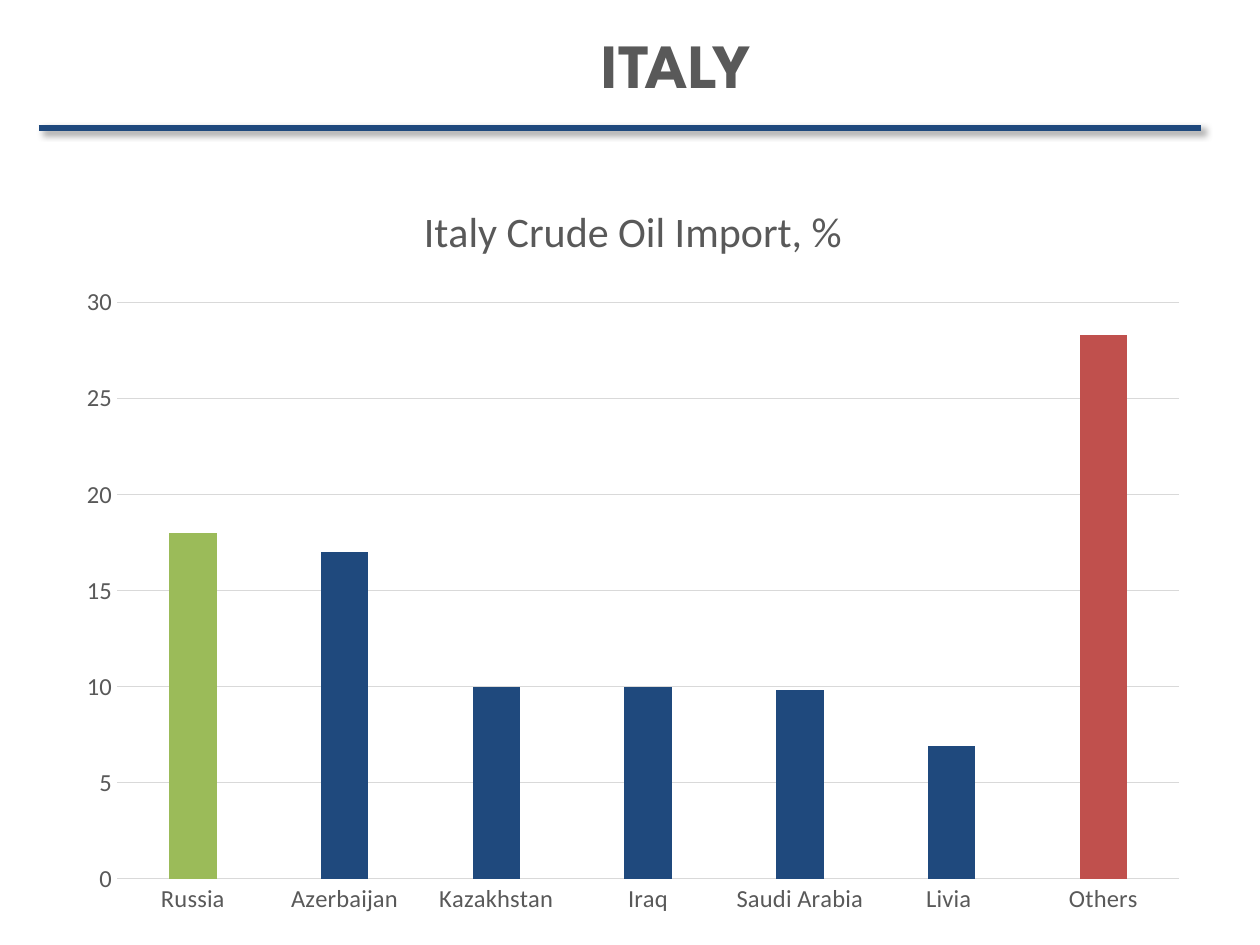
import pptx
import pptx.chart.data
import pptx.dml.color
import pptx.enum.chart
import pptx.enum.shapes
import pptx.enum.text
import pptx.oxml
import pptx.oxml.ns
import pptx.util

HEADING = "ITALY"
CHART_TITLE = "Italy Crude Oil Import, %"
IMPORTS = [
    ("Russia", 18, "green"),
    ("Azerbaijan", 17, "navy"),
    ("Kazakhstan", 10, "navy"),
    ("Iraq", 10, "navy"),
    ("Saudi Arabia", 9.8, "navy"),
    ("Livia ", 6.9, "navy"),
    ("Others", 28.3, "red"),
]
THEME = {
    "colours": {"green": "9BBB59", "navy": "1F497D", "red": "C0504D",
                "text": "595959", "grid": "D9D9D9"},
    "sizes": {"heading": 36, "chart_title": 24, "axis": 14},
    "fonts": {"heading": "League Spartan", "chart": "Calibri"},
}
HEADING_BOX = (204, 19, 945, 89)
CHART_BOX = (64, 174, 1138, 755)
RULE_ENDS = (39, 128, 1201, 128)
SHADOW = (
    '<a:effectLst xmlns:a="http://schemas.openxmlformats.org/drawingml/2006/main">'
    '<a:outerShdw blurRad="50800" dist="38100" dir="2700000" algn="tl" rotWithShape="0">'
    '<a:srgbClr val="000000"><a:alpha val="40000"/></a:srgbClr>'
    '</a:outerShdw></a:effectLst>'
)


def px(*lengths):
    return [round(length * 914400 / 126) for length in lengths]


def colour(name):
    return pptx.dml.color.RGBColor.from_string(THEME["colours"][name])


def style_font(font, size, family="chart", bold=False):
    font.name = THEME["fonts"][family]
    font.size = pptx.util.Pt(THEME["sizes"][size])
    font.bold = bold
    font.color.rgb = colour("text")


def write(frame, text, **style):
    frame.text = text
    paragraph = frame.paragraphs[0]
    paragraph.alignment = pptx.enum.text.PP_ALIGN.CENTER
    style_font(paragraph.runs[0].font, **style)


def style_line(line, name, width):
    line.color.rgb = colour(name)
    line.width = pptx.util.Pt(width)


def add_import_chart(slide):
    figures = pptx.chart.data.CategoryChartData()
    figures.categories = [country for country, _, _ in IMPORTS]
    figures.add_series("Series 1", [share for _, share, _ in IMPORTS])
    chart = slide.shapes.add_chart(
        pptx.enum.chart.XL_CHART_TYPE.COLUMN_CLUSTERED, *px(*CHART_BOX), figures).chart
    chart.has_legend = False
    chart.has_title = True
    write(chart.chart_title.text_frame, CHART_TITLE, size="chart_title")
    chart.chart_title.include_in_layout = False

    for axis in (chart.category_axis, chart.value_axis):
        axis.major_tick_mark = axis.minor_tick_mark = pptx.enum.chart.XL_TICK_MARK.NONE
        style_font(axis.tick_labels.font, "axis")
    style_line(chart.category_axis.format.line, "grid", 0.75)
    chart.value_axis.format.line.fill.background()
    chart.value_axis.has_major_gridlines = True
    style_line(chart.value_axis.major_gridlines.format.line, "grid", 0.75)
    chart.value_axis.minimum_scale = 0
    chart.value_axis.maximum_scale = 30
    chart.value_axis.major_unit = 5

    columns = chart.plots[0]
    columns.gap_width = 219
    columns.overlap = -27
    columns.vary_by_categories = False
    for index, (_, _, shade) in enumerate(IMPORTS):
        fill = columns.series[0].points[index].format.fill
        fill.solid()
        fill.fore_color.rgb = colour(shade)


def add_rule(slide):
    rule = slide.shapes.add_connector(
        pptx.enum.shapes.MSO_CONNECTOR.STRAIGHT, *px(*RULE_ENDS))
    style_line(rule.line, "navy", 3)
    properties = rule.element.find(pptx.oxml.ns.qn("p:spPr"))
    properties.append(pptx.oxml.parse_xml(SHADOW))


def add_heading(slide):
    heading = slide.shapes.title
    heading.left, heading.top, heading.width, heading.height = px(*HEADING_BOX)
    frame = heading.text_frame
    frame.word_wrap = True
    frame.auto_size = pptx.enum.text.MSO_AUTO_SIZE.NONE
    frame.vertical_anchor = pptx.enum.text.MSO_ANCHOR.TOP
    write(frame, HEADING, size="heading", family="heading", bold=True)


def main():
    deck = pptx.Presentation()
    deck.slide_width, deck.slide_height = px(1260, 945)
    slide = deck.slides.add_slide(deck.slide_layouts[5])
    add_import_chart(slide)
    add_rule(slide)
    add_heading(slide)
    deck.save("out.pptx")


if __name__ == "__main__":
    main()
